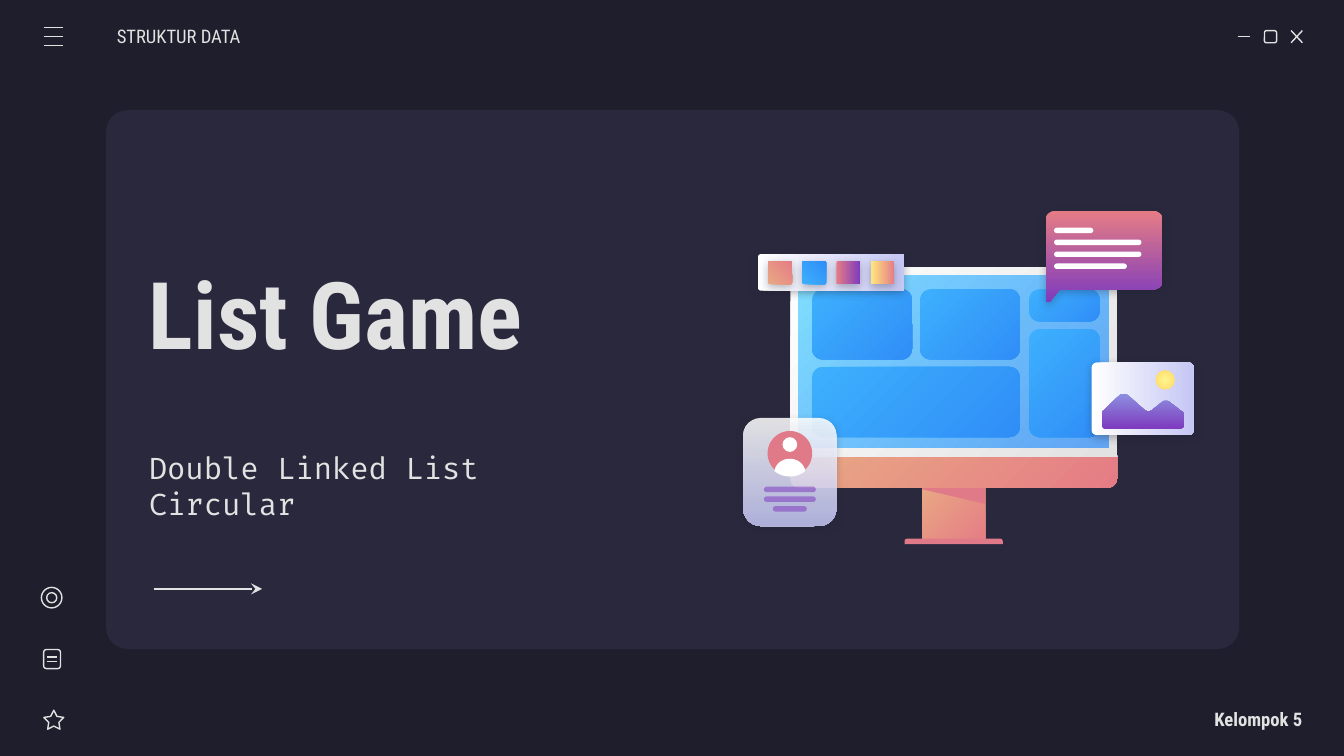
from lxml import etree
from pptx import Presentation
from pptx.dml.color import RGBColor
from pptx.enum.shapes import MSO_CONNECTOR, MSO_SHAPE
from pptx.enum.text import MSO_ANCHOR, PP_ALIGN
from pptx.oxml.ns import qn
from pptx.util import Pt

ROUNDED, ELLIPSE, STAR = MSO_SHAPE.ROUNDED_RECTANGLE, MSO_SHAPE.OVAL, MSO_SHAPE.STAR_5_POINT
RECTANGLE, ROUND_ENDS = MSO_SHAPE.RECTANGLE, MSO_SHAPE.ROUND_2_SAME_RECTANGLE
STRAIGHT = MSO_CONNECTOR.STRAIGHT
MIDDLE = MSO_ANCHOR.MIDDLE
LEFT, RIGHT = PP_ALIGN.LEFT, PP_ALIGN.RIGHT

NIGHT = RGBColor(0x1E, 0x1E, 0x2C)
PANEL = RGBColor(0x29, 0x28, 0x3D)
LIGHT = RGBColor(0xE2, 0xE2, 0xE2)
WHITE = RGBColor(0xFF, 0xFF, 0xFF)
ROSE = RGBColor(0xE0, 0x7A, 0x88)
CORAL = RGBColor(0xE5, 0x7C, 0x85)
PEACH = RGBColor(0xE9, 0xA9, 0x84)
PURPLE = RGBColor(0x7E, 0x3B, 0xBE)
LAVENDER = RGBColor(0xC5, 0xC7, 0xF4)
PERIWINKLE = RGBColor(0x8D, 0x90, 0xE1)
AQUA = RGBColor(0x80, 0xDF, 0xFF)
AZURE = RGBColor(0x31, 0x8F, 0xFA)
SKY = RGBColor(0x3D, 0xB0, 0xFD)
BLUE = RGBColor(0x30, 0x8E, 0xF7)
YELLOW = RGBColor(0xFF, 0xEA, 0x7D)
LEMON = RGBColor(0xFF, 0xF6, 0x8E)
GOLD = RGBColor(0xFF, 0xD9, 0x66)

WARM, COOL = (PEACH, CORAL, 45), (SKY, BLUE, 45)
SUNSET, PAPER = (CORAL, PURPLE, 90), (WHITE, LAVENDER, 90)
SANS, MONO = "Roboto Condensed", "Fira Code"


def add_element(parent, tag, **attributes):
    return etree.SubElement(parent, qn(tag), {name: str(value) for name, value in attributes.items()})


def paint(shape, fill, opacities=(), shadow=False):
    properties = shape._element.spPr
    if fill is None:
        shape.fill.background()
        shape.line.color.rgb = LIGHT
        shape.line.width = Pt(0.75)
    else:
        shape.line.fill.background()
        if isinstance(fill, RGBColor):
            shape.fill.solid()
            shape.fill.fore_color.rgb = fill
        else:
            start, end, angle = fill
            shape.fill.gradient()
            shape.fill.gradient_angle = 360 - angle
            for stop, color in zip(shape.fill.gradient_stops, (start, end)):
                stop.color.rgb = color
        for color, opacity in zip(properties.iter(qn("a:srgbClr")), opacities):
            add_element(color, "a:alpha", val=opacity * 1000)
    shape.shadow.inherit = False
    if shadow:
        outer = add_element(properties.find(qn("a:effectLst")), "a:outerShdw", blurRad=Pt(4.5),
                            dist=Pt(1.5), dir=5400000, algn="bl", rotWithShape=0)
        add_element(add_element(outer, "a:srgbClr", val=NIGHT), "a:alpha", val=30000)
    return shape


def add_form(shapes, kind, box, fill, adjustments=(), turned=False, **style):
    left, top, width, height = box
    if turned:
        left, top = left + (width - height) / 2, top + (height - width) / 2
        width, height = height, width
    shape = shapes.add_shape(kind, Pt(left), Pt(top), Pt(width), Pt(height))
    shape.rotation = 270 if turned else 0
    for index, value in enumerate(adjustments):
        shape.adjustments[index] = value
    return paint(shape, fill, **style)


def add_rounded(shapes, box, radius, fill, **style):
    return add_form(shapes, ROUNDED, box, fill, [radius / min(box[2:])], **style)


def add_outline(shapes, left, top, start, segments, fill, **style):
    points = [start]
    for segment in segments:
        if len(segment) == 2:
            points.append(segment)
            continue
        corners = [points[-1], *zip(segment[::2], segment[1::2])]
        for step in range(1, 13):
            t = step / 12
            weights = ((1 - t) ** 3, 3 * t * (1 - t) ** 2, 3 * t * t * (1 - t), t ** 3)
            points.append(tuple(sum(w * c[axis] for w, c in zip(weights, corners)) for axis in (0, 1)))
    points = [(Pt(left + x), Pt(top + y)) for x, y in points]
    builder = shapes.build_freeform(*points[0])
    builder.add_line_segments(points[1:])
    return paint(builder.convert_to_shape(), fill, **style)


def add_line(shapes, x1, y1, x2, y2, arrow=False):
    line = shapes.add_connector(STRAIGHT, Pt(x1), Pt(y1), Pt(x2), Pt(y2))
    line.line.color.rgb = LIGHT
    line.line.width = Pt(0.75)
    if arrow:
        add_element(line.line._get_or_add_ln(), "a:tailEnd", type="stealth", w="med", len="med")
    add_element(line._element.spPr, "a:effectLst")


def add_text(slide, box, lines, size, font=SANS, bold=False, align=LEFT, insets=(7.2, 7.2)):
    frame = slide.shapes.add_textbox(*map(Pt, box)).text_frame
    frame.word_wrap = True
    frame.vertical_anchor = MIDDLE
    frame.margin_left, frame.margin_right = map(Pt, insets)
    frame.margin_top = frame.margin_bottom = Pt(7.2)
    frame.text = "\n".join(lines)
    for paragraph in frame.paragraphs:
        paragraph.alignment = align
        for run in paragraph.runs:
            run.font.name, run.font.size, run.font.bold = font, Pt(size), bold
            run.font.color.rgb = LIGHT


def add_window_controls(slide, left, top, width, height):
    shapes = slide.shapes.add_group_shape().shapes
    right, bottom = left + width, top + height
    add_line(shapes, left, top + height / 2, left + height, top + height / 2)
    add_rounded(shapes, (left + 14.3, top, height, height), 1.1, None)
    add_line(shapes, right - 6, top, right, bottom)
    add_line(shapes, right, top, right - 6, bottom)


def add_menu(slide, left, top, width, height):
    shapes = slide.shapes.add_group_shape().shapes
    for row in range(3):
        y = top + row * height / 2
        add_line(shapes, left, y, left + width, y)


def add_side_icons(slide, left, top, width, height):
    shapes = slide.shapes.add_group_shape().shapes
    add_form(shapes, STAR, (left + 1.3, top + height - 10.2, width - 1.3, 10.2), None, [0.254])
    add_rounded(shapes, (left + 1.2, top + 33.3, 9, 10.2), 1.5, None)
    for y in (37.2, 39.7):
        add_line(shapes, left + 3.1, top + y, left + 8.3, top + y)
    for inset in (0, 2.8):
        size = 11 - 2 * inset
        add_form(shapes, ELLIPSE, (left + inset, top + inset, size, size), None)


def add_monitor(slide, left, top, width, height):
    shapes = slide.shapes.add_group_shape().shapes
    add_form(shapes, RECTANGLE, (left + 70.6, top + 116.6, 33.8, 31), WARM)
    add_form(shapes, ROUND_ENDS, (left + 61.2, top + height - 3, 52.6, 3), ROSE, [0.45, 0])
    add_outline(shapes, left, top, (70.6, 116.6), [(70.6, 118.8), (104.4, 126.7), (104.4, 116.6)], ROSE)
    add_form(shapes, ROUND_ENDS, (left, top + 100.8, width, 17.3), WARM, [0, 0.28])
    add_form(shapes, ROUND_ENDS, (left, top, width, 101.5), (WHITE, LIGHT, 45), [0.04, 0])
    add_form(shapes, RECTANGLE, (left + 4.5, top + 4.5, width - 9, 92), (AQUA, AZURE, 45), opacities=(100, 72))
    tiles = [(11.7, 11.7, 53.5, 37.6), (11.7, 53.3, 111.3, 37.6), (69.5, 11.7, 53.5, 37.6),
             (128, 11.7, 37.7, 17.2), (128, 33, 37.7, 57.9)]
    for x, y, tile_width, tile_height in tiles:
        add_rounded(shapes, (left + x, top + y, tile_width, tile_height), 5.6, COOL)


def add_speech_bubble(slide, left, top, width, height):
    shapes = slide.shapes.add_group_shape().shapes
    base = height - 7
    segments = [(2.2, 0, 0, 2.2, 0, 4.8), (0, height - 1), (0, height, 1.4, height + 0.3, 2.2, height - 0.5),
                (7.4, base), (width - 4.8, base), (width - 2.2, base, width, base - 2.2, width, base - 4.8),
                (width, 4.8), (width, 2.2, width - 2.2, 0, width - 4.8, 0)]
    add_outline(shapes, left, top, (4.8, 0), segments, SUNSET, shadow=True)
    for row, length in enumerate((21, 46.8, 46.8, 39)):
        add_rounded(shapes, (left + 4.4, top + 9 + row * 6.4, length, 2.9), 1.45, WHITE)


def add_profile_card(slide, left, top, width, height):
    shapes = slide.shapes.add_group_shape().shapes
    middle = width / 2
    add_rounded(shapes, (left, top, width, height), 9.3, PAPER, opacities=(86, 86), shadow=True)
    for y, size, color in ((7, 23.9, ROSE), (10.3, 7.9, WHITE)):
        add_form(shapes, ELLIPSE, (left + middle - size / 2, top + y, size, size), color)
    shoulders = [(-4.3, 21.9, -7.6, 24.7, -8.3, 28.4), (-6.1, 30.3, -3.2, 31.4, 0, 31.4),
                 (3.2, 31.4, 6.1, 30.3, 8.3, 28.4), (7.6, 24.7, 4.3, 21.9, 0, 21.9)]
    add_outline(shapes, left + middle, top, (0, 21.9), shoulders, WHITE)
    for row, length in enumerate((27.8, 27.8, 18.2)):
        add_rounded(shapes, (left + middle - length / 2, top + 36.9 + row * 5.2, length, 2.9),
                    1.45, PURPLE, opacities=(54,))


def add_photo_card(slide, left, top, width, height):
    shapes = slide.shapes.add_group_shape().shapes
    add_rounded(shapes, (left, top, width, height), 2.8, PAPER, turned=True, shadow=True)
    ridge = [(16.5, 16.6, 15.7, 16.8, 15.1, 17.3), (6.4, 25.7), (5.8, 26.2, 5.6, 26.8, 5.6, 27.5),
             (5.6, 33.3), (5.6, 34.5, 6.5, 35.4, 7.7, 35.4), (47, 35.4), (48.5, 35.4, 49.5, 34.5, 49.5, 33.3),
             (49.5, 28.1), (49.5, 27.4, 49.3, 26.9, 48.7, 26.5), (41.6, 21),
             (40.4, 20.3, 38.9, 20.3, 37.9, 21.1), (32.4, 25.5), (31, 26.4, 29.5, 26.4, 28.2, 25.3),
             (19.4, 17.4), (18.8, 16.9, 18.1, 16.6, 17.3, 16.6)]
    add_outline(shapes, left, top, (17.3, 16.6), ridge, (PERIWINKLE, PURPLE, 90))
    sun = add_form(shapes, ELLIPSE, (left + 34.4, top + 4.3, 10.1, 10.1), (LEMON, GOLD, 0))
    gradient = sun._element.spPr.find(qn("a:gradFill"))
    gradient.remove(gradient.find(qn("a:lin")))
    add_element(add_element(gradient, "a:path", path="circle"), "a:fillToRect", l=50000, t=50000, r=50000, b=50000)


def add_palette(slide, left, top, width, height):
    shapes = slide.shapes.add_group_shape().shapes
    add_rounded(shapes, (left, top, width, height), 1.4, PAPER, turned=True, shadow=True)
    for column, fill in enumerate((WARM, COOL, SUNSET, (YELLOW, CORAL, 90))):
        add_rounded(shapes, (left + 5.4 + column * 18.3, top + 3.8, 12.8, 12.4), 0.9, fill, turned=True, shadow=True)


def main():
    presentation = Presentation()
    presentation.slide_width, presentation.slide_height = Pt(720), Pt(405)
    slide = presentation.slides.add_slide(presentation.slide_layouts[6])
    slide.background.fill.solid()
    slide.background.fill.fore_color.rgb = NIGHT
    add_rounded(slide.shapes, (56.9, 59, 607, 288.7), 11.5, PANEL)
    add_window_controls(slide, 663.1, 16.4, 34.6, 6.5)
    add_text(slide, (72.7, 243.4, 233.3, 33.1), ["Double Linked List", "Circular"], 16, MONO)
    add_text(slide, (62.6, 8.6, 84.2, 21.6), ["STRUKTUR DATA"], 10, insets=(0, 7.2))
    add_text(slide, (72.7, 103.7, 321.8, 126.7), ["List Game"], 50, bold=True)
    add_monitor(slide, 423.4, 143.3, 175, 148.3)
    add_speech_bubble(slide, 560.3, 113, 62.6, 49)
    add_menu(slide, 23.4, 14.6, 10.6, 9.8)
    add_profile_card(slide, 398.2, 223.9, 49.9, 57.9)
    add_photo_card(slide, 584.8, 194.2, 54.7, 38.9)
    add_palette(slide, 406.1, 136.1, 78.5, 19.6)
    add_side_icons(slide, 22.2, 314.7, 12, 76)
    add_line(slide.shapes, 82.3, 315.5, 140.4, 315.5, arrow=True)
    add_text(slide, (613.4, 374.4, 84.2, 21.6), ["Kelompok 5"], 10, bold=True, align=RIGHT, insets=(7.2, 0))
    presentation.save("out.pptx")


if __name__ == "__main__":
    main()
